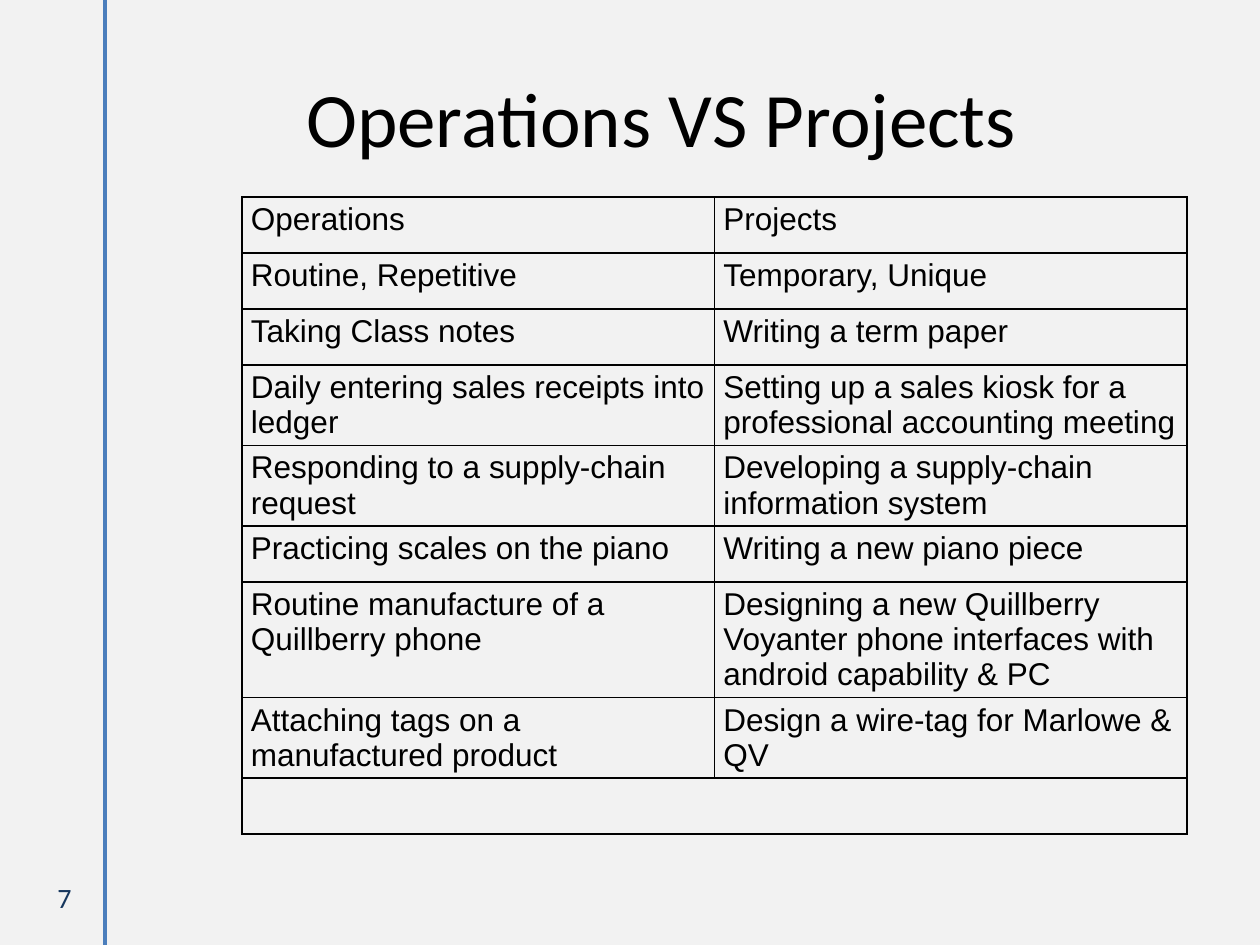
from dataclasses import dataclass

from lxml.etree import SubElement
from pptx import Presentation
from pptx.dml.color import RGBColor as RGB
from pptx.enum.shapes import MSO_CONNECTOR as CONN
from pptx.enum.text import MSO_ANCHOR as ANCHOR, PP_ALIGN as ALIGN
from pptx.oxml.ns import qn
from pptx.util import Inches, Pt

PX_PER_INCH = 126


@dataclass(frozen=True)
class Theme:
    background: str = "F2F2F2"
    text: str = "000000"
    rule: str = "4B7EBC"
    number: str = "17375E"
    heading_font: str = "Calibri"
    table_font: str = "Arial"
    title_size: int = 44
    table_size: int = 18
    number_size: int = 16
    rule_width: float = 2.25
    border_width: int = 1


THEME = Theme()

COMPARISON = [
    ("Operations", "Projects"),
    ("Routine, Repetitive", "Temporary, Unique"),
    ("Taking Class notes", "Writing a term paper"),
    ("Daily entering sales receipts into ledger",
     "Setting up a sales kiosk for a professional accounting meeting"),
    ("Responding to a supply-chain request",
     "Developing a supply-chain information system"),
    ("Practicing scales on the piano", "Writing a new piano piece"),
    ("Routine manufacture of a Quillberry phone",
     "Designing a new Quillberry Voyanter phone interfaces with "
     "android capability & PC"),
    ("Attaching tags on a manufactured product",
     "Design a wire-tag for Marlowe & QV"),
    ("", ""),
]
LINES_PER_ROW = [1, 1, 1, 2, 2, 1, 3, 2, 1]
ROW_HEIGHT = {1: 56, 2: 80, 3: 115}


def px(n):
    return Inches(n / PX_PER_INCH)


def write(tf, text, font, size, color, align):
    p = tf.paragraphs[0]
    p.text = text
    p.alignment = align
    p.font.name = font
    p.font.size = Pt(size)
    p.font.color.rgb = RGB.from_string(color)


def add_rule(slide, x, height):
    s = slide.shapes.add_connector(CONN.STRAIGHT, px(x), 0, px(x), px(height))
    s.line.color.rgb = RGB.from_string(THEME.rule)
    s.line.width = Pt(THEME.rule_width)
    SubElement(s._element.spPr, qn("a:effectLst"))


def set_title(slide, text, x, y, w, h):
    s = slide.shapes.title
    s.left, s.top, s.width, s.height = px(x), px(y), px(w), px(h)
    s.text_frame.vertical_anchor = ANCHOR.MIDDLE
    write(s.text_frame, text, THEME.heading_font, THEME.title_size,
          THEME.text, ALIGN.CENTER)


def add_number(slide, text, x, y, w, h):
    tf = slide.shapes.add_textbox(px(x), px(y), px(w), px(h)).text_frame
    tf.word_wrap = True
    tf.vertical_anchor = ANCHOR.MIDDLE
    write(tf, text, THEME.heading_font, THEME.number_size,
          THEME.number, ALIGN.RIGHT)


def add_borders(cell):
    tc_pr = cell._tc.get_or_add_tcPr()
    for side in ("lnL", "lnR", "lnT", "lnB"):
        ln = SubElement(tc_pr, qn(f"a:{side}"), w=str(Pt(THEME.border_width)))
        fill = SubElement(ln, qn("a:solidFill"))
        SubElement(fill, qn("a:srgbClr"), val=THEME.text)


def format_cell(cell, text):
    cell.margin_left = cell.margin_right = px(9)
    cell.margin_top = cell.margin_bottom = px(5)
    add_borders(cell)
    cell.fill.background()
    write(cell.text_frame, text, THEME.table_font, THEME.table_size,
          THEME.text, ALIGN.LEFT)


def add_comparison(slide, x, y, w):
    heights = [ROW_HEIGHT[n] for n in LINES_PER_ROW]
    table = slide.shapes.add_table(len(COMPARISON), 2, px(x), px(y), px(w),
                                   px(sum(heights))).table
    table.first_row = table.horz_banding = False
    for row, height, texts in zip(table.rows, heights, COMPARISON):
        row.height = px(height)
        for cell, text in zip(row.cells, texts):
            format_cell(cell, text)
    # The closing row spans both columns
    last = len(COMPARISON) - 1
    table.cell(last, 0).merge(table.cell(last, 1))


def main():
    prs = Presentation()
    prs.slide_width, prs.slide_height = px(1260), px(945)
    slide = prs.slides.add_slide(prs.slide_layouts.get_by_name("Title Only"))

    # Background and side rule
    slide.background.fill.solid()
    slide.background.fill.fore_color.rgb = RGB.from_string(THEME.background)
    add_rule(slide, 105, 945)

    # Content
    set_title(slide, "Operations VS Projects", 126, 38, 1071, 157)
    add_comparison(slide, 242, 197, 945)

    # Slide number
    add_number(slide, "7", 21, 872, 63, 50)

    prs.save("out.pptx")


if __name__ == "__main__":
    main()
